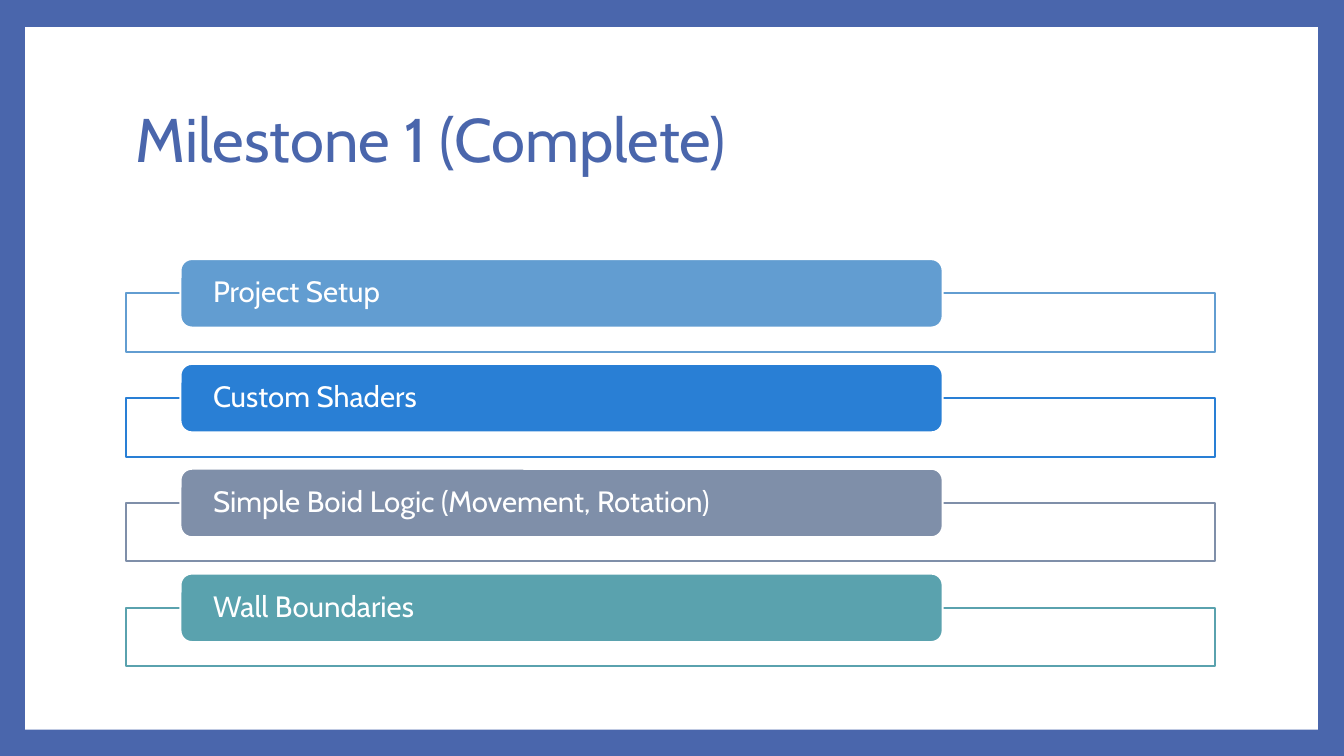
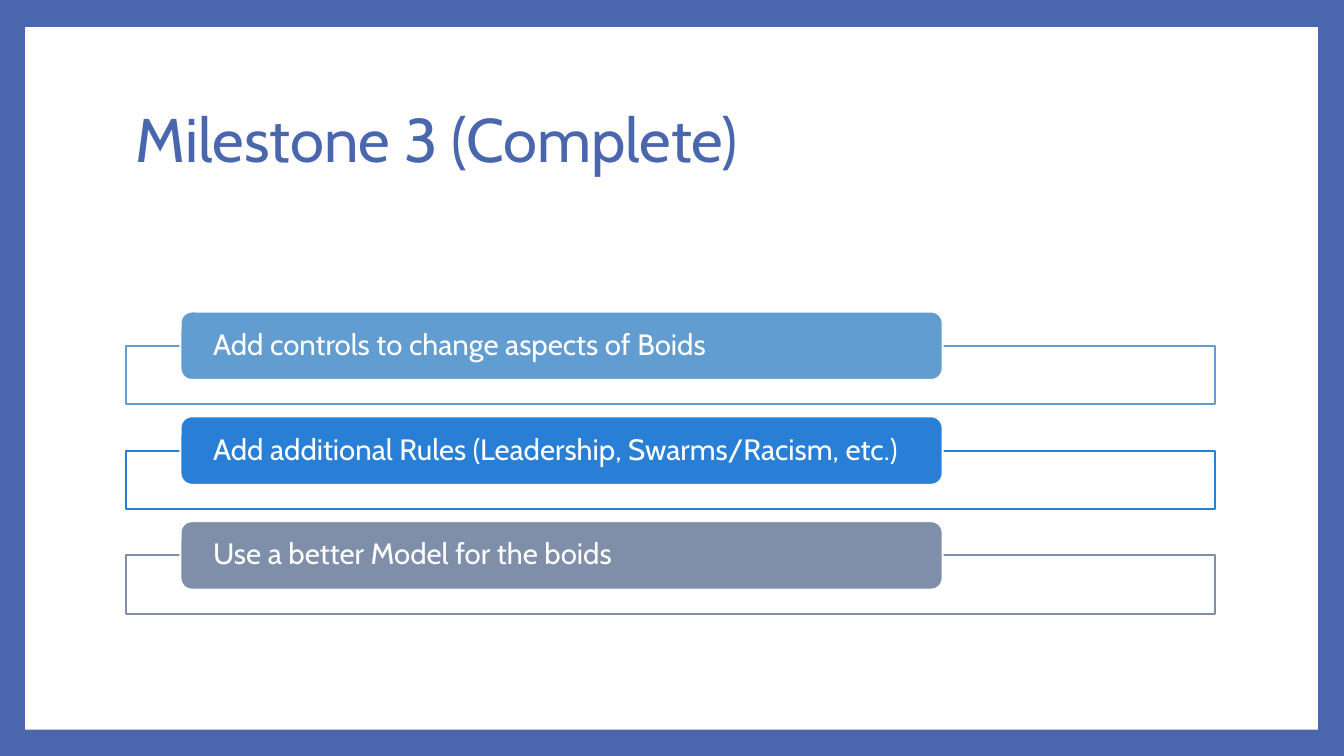
import lxml.etree
import pptx
import pptx.dml.color
import pptx.enum.shapes
import pptx.enum.text
import pptx.oxml.ns
import pptx.util

Inches = pptx.util.Inches
Pt = pptx.util.Pt
SHAPE = pptx.enum.shapes.MSO_SHAPE
ANCHOR = pptx.enum.text.MSO_ANCHOR
ALIGN = pptx.enum.text.PP_ALIGN

HUES = {
    "frame": "4A66AC",
    "paper": "FFFFFF",
    "sky": "629DD1",
    "blue": "297FD5",
    "slate": "7F8FA9",
    "teal": "5AA2AE",
}
TABS = ["sky", "blue", "slate", "teal"]
FONT = "Cabin"
SIZE = (13.33, 7.5)
PAGE = (0.25, 0.27, 12.82, 6.97)
TITLE = (1.25, 0.67, 10.8, 1.48)
LIST = (1.25, 2.57, 10.8, 4.04)
PITCH = 1.04
BAR = 0.58
TAB = 0.68
DROP = 0.34
INDENT = 0.54
SHARE = 0.7

DECK = [
    ("Milestone 1 (Complete)", [
        "Project Setup",
        "Custom Shaders",
        "Simple Boid Logic (Movement, Rotation)",
        "Wall Boundaries",
    ]),
    ("Milestone 3 (Complete)", [
        "Add controls to change aspects of Boids",
        "Add additional Rules (Leadership, Swarms/Racism, etc.)",
        "Use a better Model for the boids",
    ]),
]


def color(name):
    """Return the named colour."""
    return pptx.dml.color.RGBColor.from_string(HUES[name])


def block(slide, kind, box, fill, line=None):
    """Add a filled shape with an optional outline."""
    shape = slide.shapes.add_shape(kind, *map(Inches, box))
    shape.shadow.inherit = False
    shape.fill.solid()
    shape.fill.fore_color.rgb = color(fill)
    if line:
        shape.line.color.rgb = color(line)
        shape.line.width = Pt(1.5)
    else:
        shape.line.fill.background()
    return shape


def fade(shape, percent):
    """Set the opacity of a solid fill."""
    qn = pptx.oxml.ns.qn
    tone = shape.element.spPr.find(qn("a:solidFill")).find(qn("a:srgbClr"))
    lxml.etree.SubElement(tone, qn("a:alpha"), val=str(percent * 1000))


def write(shape, text, size, hue):
    """Write one left-aligned line, centred in height."""
    frame = shape.text_frame
    frame.word_wrap = True
    frame.vertical_anchor = ANCHOR.MIDDLE
    para = frame.paragraphs[0]
    para.alignment = ALIGN.LEFT
    para.line_spacing = 0.9
    run = para.add_run()
    run.text = text
    run.font.name = FONT
    run.font.size = Pt(size)
    run.font.color.rgb = color(hue)
    return frame


def base(slide):
    """Draw the coloured frame and the white page."""
    slide.background.fill.solid()
    slide.background.fill.fore_color.rgb = color("frame")
    block(slide, SHAPE.RECTANGLE, PAGE, "paper")


def head(slide, box, text):
    """Add the slide title."""
    write(slide.shapes.add_textbox(*map(Inches, box)), text, 44, "frame")


def item(slide, box, text, hue):
    """Draw an outlined bar with a labelled tab over its top edge."""
    left, top, width, height = box
    bar = block(slide, SHAPE.RECTANGLE,
                (left, top + DROP, width, height - DROP), "paper", hue)
    fade(bar, 90)
    tab = block(slide, SHAPE.ROUNDED_RECTANGLE,
                (left + INDENT, top, width * SHARE, TAB), hue, "paper")
    frame = write(tab, text, 21, "paper")
    frame.margin_left = frame.margin_right = Inches(0.29)
    frame.margin_top = frame.margin_bottom = 0


def stack(slide, box, texts):
    """Stack the items, centred in the height of the box."""
    left, top, width, height = box
    tall = DROP + BAR
    start = top + (height - PITCH * (len(texts) - 1) - tall) / 2
    for i, (text, hue) in enumerate(zip(texts, TABS)):
        item(slide, (left, start + i * PITCH, width, tall), text, hue)


def main():
    """Build and save the deck."""
    deck = pptx.Presentation()
    deck.slide_width, deck.slide_height = map(Inches, SIZE)
    for title, texts in DECK:
        slide = deck.slides.add_slide(deck.slide_layouts[6])
        base(slide)
        head(slide, TITLE, title)
        stack(slide, LIST, texts)
    deck.save("out.pptx")


if __name__ == "__main__":
    main()
